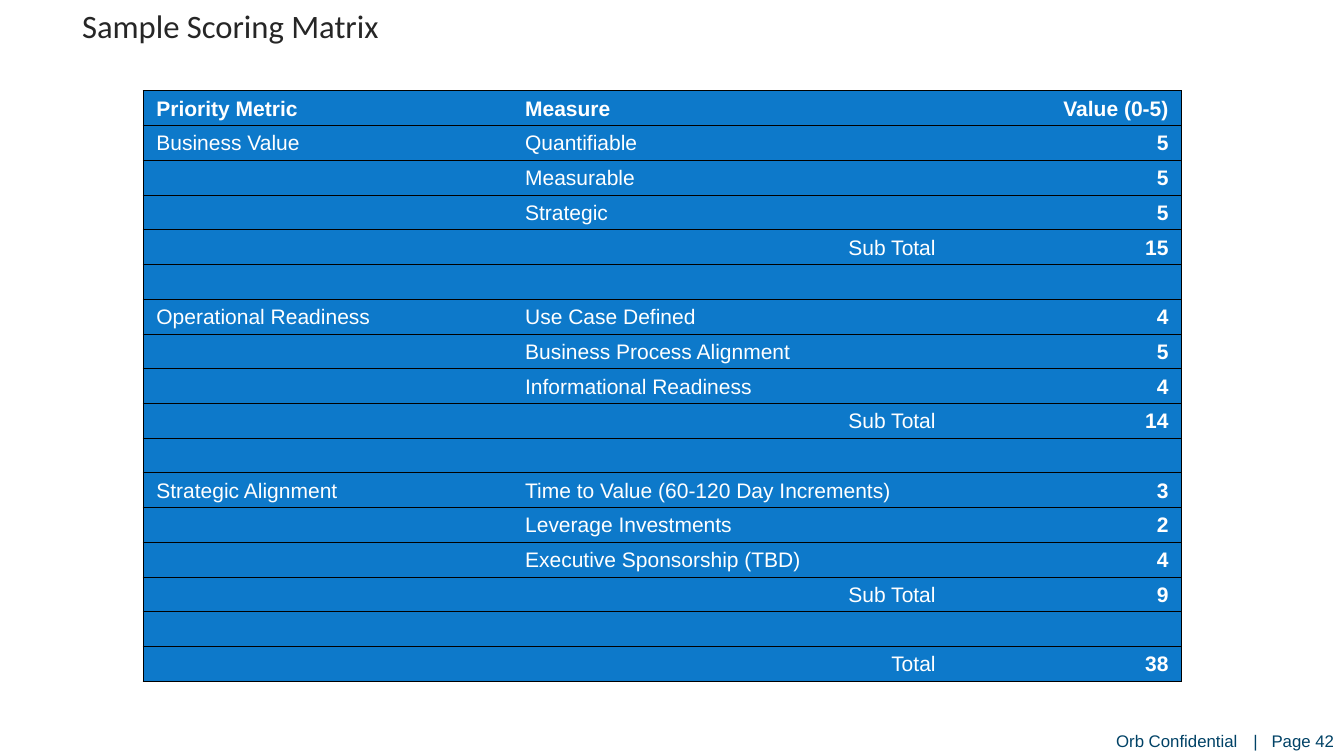
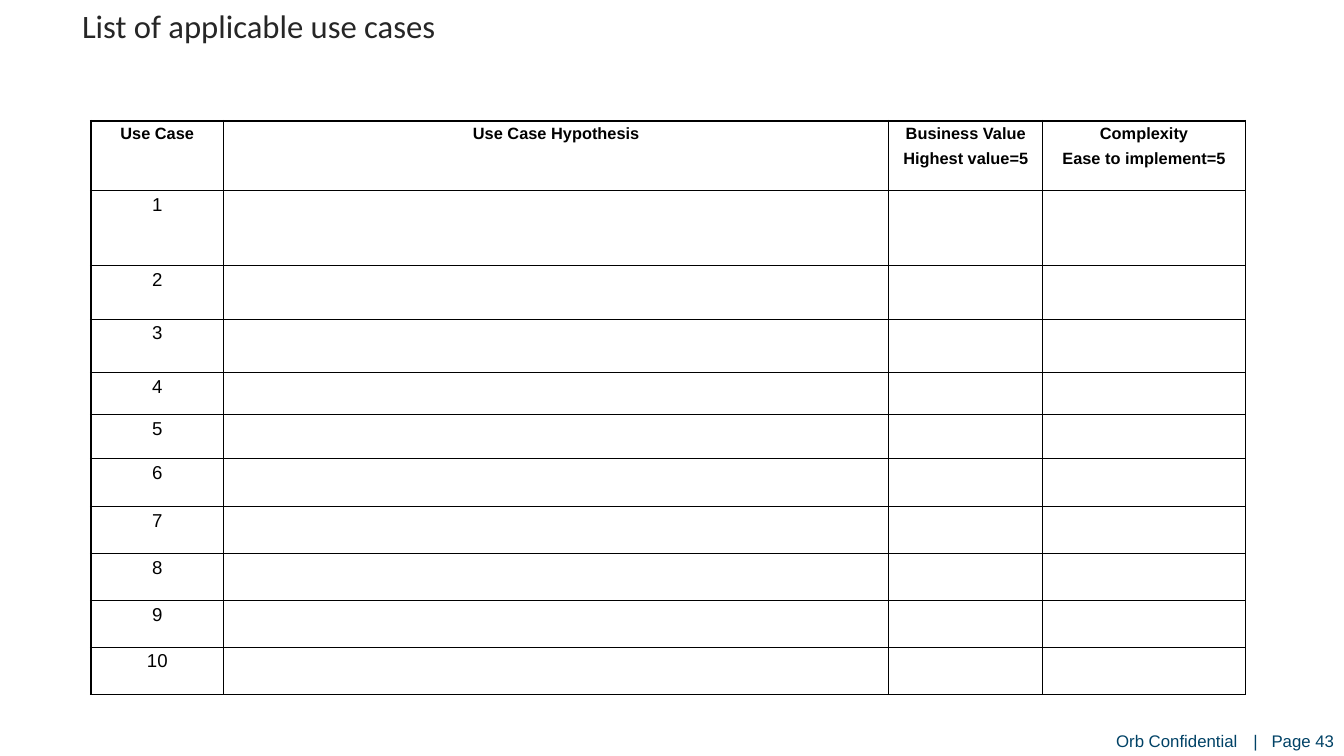
from dataclasses import dataclass

from lxml.etree import SubElement
from pptx import Presentation
from pptx.dml.color import RGBColor
from pptx.enum.text import MSO_ANCHOR, MSO_AUTO_SIZE, PP_ALIGN
from pptx.oxml.ns import qn
from pptx.util import Cm, Pt


@dataclass(frozen=True)
class Theme:
    title_font: str = "Calibri"
    body_font: str = "Arial"
    title_color: str = "262626"
    footer_color: str = "004266"
    blue: str = "0D79CA"
    white: str = "FFFFFF"
    black: str = "000000"
    title_size: float = 28
    score_size: float = 18
    number_size: float = 16
    header_size: float = 14
    footer_size: float = 14.4
    thin: float = 1
    thick: float = 2.25


THEME = Theme()
LEFT, CENTER, RIGHT = PP_ALIGN.LEFT, PP_ALIGN.CENTER, PP_ALIGN.RIGHT

# Metric, its measures with their values, and the stated sub total
SCORES = [
    ("Business Value",
     [("Quantifiable", 5), ("Measurable", 5), ("Strategic", 5)], 15),
    ("Operational Readiness",
     [("Use Case Defined", 4), ("Business Process Alignment", 5),
      ("Informational Readiness", 4)], 14),
    ("Strategic Alignment",
     [("Time to Value (60-120 Day Increments)", 3), ("Leverage Investments", 2),
      ("Executive Sponsorship (TBD)", 4)], 9),
]
USE_CASE_HEADERS = [
    "Use Case",
    "Use Case Hypothesis",
    "Business Value\nHighest value=5",
    "Complexity\nEase to implement=5",
]


def style_paragraph(p, font, size, color, bold=False, align=LEFT):
    p.alignment = align
    p.font.name = font
    p.font.size = Pt(size)
    p.font.bold = bold
    p.font.color.rgb = RGBColor.from_string(color)


def set_margins(box, x, y):
    box.margin_left = box.margin_right = x
    box.margin_top = box.margin_bottom = y


def set_borders(cell, left, right, top, bottom):
    """Draw the four cell edges in black; a width of 0 hides the edge."""
    tc_pr = cell._tc.get_or_add_tcPr()
    for edge, width in zip("LRTB", (left, right, top, bottom)):
        ln = SubElement(tc_pr, qn(f"a:ln{edge}"), w=str(Pt(width)))
        if width:
            fill = SubElement(ln, qn("a:solidFill"))
            SubElement(fill, qn("a:srgbClr"), val=THEME.black)
        else:
            SubElement(ln, qn("a:noFill"))


def fill_cell(cell, color):
    cell.fill.solid()
    cell.fill.fore_color.rgb = RGBColor.from_string(color)


def write_cell(cell, text, size, color, bold, align, margins):
    set_margins(cell, *margins)
    cell.text_frame.text = text
    for i, p in enumerate(cell.text_frame.paragraphs):
        style_paragraph(p, THEME.body_font, size, color, bold, align)
        if i:
            p.space_before = Pt(5.6)


def add_plain_table(slide, left, top, widths, heights):
    """Add a table without header or banding; lengths are in centimetres."""
    table = slide.shapes.add_table(
        len(heights), len(widths), Cm(left), Cm(top),
        Cm(sum(widths)), Cm(sum(heights))).table
    table.first_row = table.horz_banding = False
    for column, width in zip(table.columns, widths):
        column.width = Cm(width)
    for row, height in zip(table.rows, heights):
        row.height = Cm(height)
    return table


def score_rows():
    """List each row as (metric, measure, value, measure alignment)."""
    rows = [("Priority Metric", "Measure", "Value (0-5)", LEFT)]
    for metric, measures, subtotal in SCORES:
        for i, (measure, value) in enumerate(measures):
            rows.append(("" if i else metric, measure, str(value), LEFT))
        rows.append(("", "Sub Total", str(subtotal), RIGHT))
        rows.append(("", "", "", LEFT))
    total = sum(subtotal for *_, subtotal in SCORES)
    rows.append(("", "Total", str(total), RIGHT))
    return rows


def add_score_table(slide, left, top):
    rows = score_rows()
    widths = [11.15, 13.21, 7.04]
    table = add_plain_table(slide, left, top, widths, [1.05] * len(rows))
    last = len(widths) - 1
    for r, (*texts, measure_align) in enumerate(rows):
        for c, (text, align) in enumerate(zip(texts, (LEFT, measure_align, RIGHT))):
            cell = table.cell(r, c)
            set_borders(cell, THEME.thin * (c == 0), THEME.thin * (c == last),
                        THEME.thin, THEME.thin)
            fill_cell(cell, THEME.blue)
            if text:
                cell.vertical_anchor = MSO_ANCHOR.BOTTOM
                write_cell(cell, text, THEME.score_size, THEME.white,
                           r == 0 or c == last, align, (Cm(0.4), Cm(0.15)))


def add_use_case_table(slide, left, top):
    heights = [2.1, 2.27, 1.62, 1.62, 1.27, 1.33, 1.44] + [1.42] * 4
    table = add_plain_table(slide, left, top, [4.01, 20.12, 4.65, 6.13], heights)
    for r in range(len(heights)):
        texts = [str(r), "", "", ""] if r else USE_CASE_HEADERS
        size = THEME.number_size if r else THEME.header_size
        for c, text in enumerate(texts):
            cell = table.cell(r, c)
            set_borders(cell, THEME.thin if c else THEME.thick, THEME.thin,
                        THEME.thin if r else THEME.thick, THEME.thin)
            fill_cell(cell, THEME.white)
            if text:
                write_cell(cell, text, size, THEME.black, r == 0, CENTER,
                           (Cm(0.33), Cm(0.12)))


def set_title(slide, text):
    sp = slide.shapes.title
    sp.left, sp.top, sp.width, sp.height = Cm(2.12), Cm(0), Cm(36), Cm(1.68)
    tf = sp.text_frame
    tf.text = text
    tf.auto_size = MSO_AUTO_SIZE.NONE
    tf.vertical_anchor = MSO_ANCHOR.TOP
    set_margins(tf, Cm(0.36), Cm(0.18))
    style_paragraph(tf.paragraphs[0], THEME.title_font, THEME.title_size,
                    THEME.title_color)


def add_footer(slide, page):
    sp = slide.shapes.add_textbox(Cm(33.75), Cm(22.1), Cm(6.85), Cm(0.76))
    tf = sp.text_frame
    tf.word_wrap = False
    set_margins(tf, 0, 0)
    p = tf.paragraphs[0]
    p.text = f"Orb Confidential\t|\tPage {page}"
    tabs = SubElement(p._p.get_or_add_pPr(), qn("a:tabLst"))
    for position in (4.15, 4.7):
        SubElement(tabs, qn("a:tab"), pos=str(Cm(position)), algn="l")
    style_paragraph(p, THEME.body_font, THEME.footer_size, THEME.footer_color)


def add_table_slide(prs, title, page, add_content, left, top):
    slide = prs.slides.add_slide(prs.slide_layouts[5])
    set_title(slide, title)
    add_content(slide, left, top)
    add_footer(slide, page)


def main():
    prs = Presentation()
    prs.slide_width, prs.slide_height = Cm(40.64), Cm(22.86)
    add_table_slide(prs, "Sample Scoring Matrix", 42, add_score_table, 4.33, 2.75)
    add_table_slide(prs, "List of applicable use cases", 43,
                    add_use_case_table, 2.75, 3.66)
    prs.save("out.pptx")


if __name__ == "__main__":
    main()
